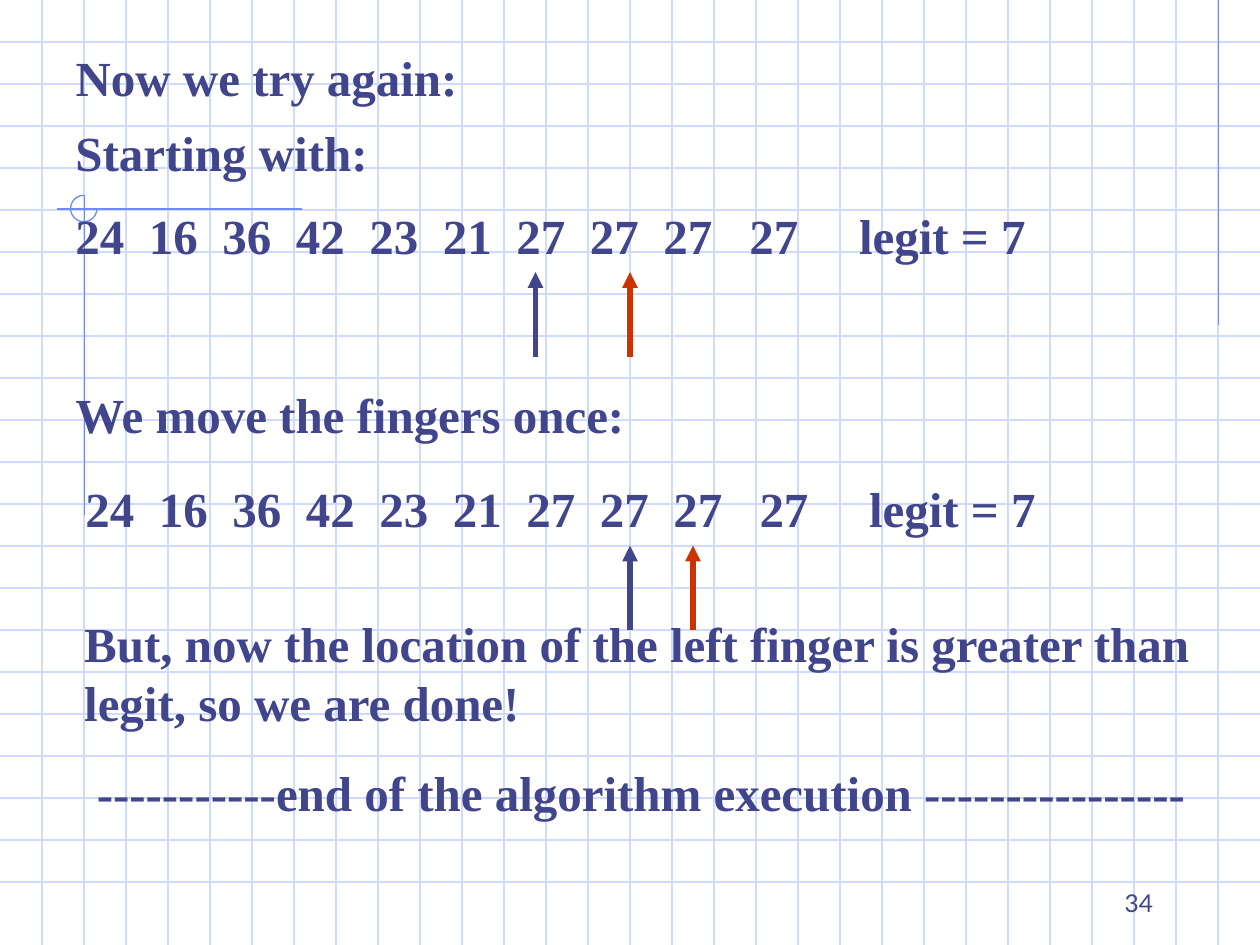
from dataclasses import dataclass

from lxml.etree import SubElement
from pptx import Presentation
from pptx.dml.color import RGBColor
from pptx.enum.shapes import MSO_CONNECTOR as Connector, MSO_SHAPE as Shape
from pptx.enum.text import MSO_ANCHOR as Anchor, PP_ALIGN as Align
from pptx.oxml.ns import qn
from pptx.util import Inches, Pt


@dataclass(frozen=True)
class Theme:
    """Colours, fonts and sizes of the slide."""
    ink: RGBColor = RGBColor.from_string("40458C")
    red: RGBColor = RGBColor.from_string("CC3300")
    grid: RGBColor = RGBColor.from_string("CFDBFD")
    accent: RGBColor = RGBColor.from_string("6F89F7")
    body_font: str = "Times New Roman"
    number_font: str = "Lato"
    body_size: Pt = Pt(28)
    number_size: Pt = Pt(14)
    thin: Pt = Pt(0.75)
    thick: Pt = Pt(3)


THEME = Theme()
WIDTH, HEIGHT = 10, 7.5
GRID_STEP = 1 / 3
NUMBERS = ["24", "16", "36", "42", "23", "21", "27", "27", "27", "27"]
NUMBER_STEP = 7 / 12
LAST_NUMBER_TAB, LEGIT_TAB = 5.35, 6.22


def add_line(shapes, start, end, color, width=THEME.thin):
    """Draw a straight line without a shadow."""
    points = (Inches(value) for value in (*start, *end))
    line = shapes.add_connector(Connector.STRAIGHT, *points)
    line.line.color.rgb = color
    line.line.width = width
    SubElement(line.element.spPr, qn("a:effectLst"))
    return line


def add_background(slide, width, height):
    """Draw the grid and the accent lines over the given area."""
    shapes = slide.shapes.add_group_shape().shapes
    for index in range(1, round(height / GRID_STEP)):
        y = index * GRID_STEP
        add_line(shapes, (0, y), (width, y), THEME.grid)
    for index in range(1, round(width / GRID_STEP)):
        x = index * GRID_STEP
        add_line(shapes, (x, 0), (x, height), THEME.grid)
    add_line(shapes, (9.67, 0), (9.67, 2.58), THEME.accent)
    add_line(shapes, (2.4, 1.66), (0.45, 1.66), THEME.accent)
    add_line(shapes, (0.67, 1.55), (0.67, 4.09), THEME.accent)
    arc = shapes.add_shape(Shape.ARC, Inches(0.56), Inches(1.55), Inches(0.21), Inches(0.21))
    arc.adjustments[0], arc.adjustments[1] = 0, 162
    arc.shadow.inherit = False
    arc.fill.background()
    arc.line.color.rgb = THEME.accent
    arc.line.width = THEME.thin


def write_text(shape, text, tabs=(), font=THEME.body_font, size=THEME.body_size,
               bold=True, align=Align.LEFT, anchor=Anchor.TOP):
    """Fill a shape with one formatted paragraph."""
    frame = shape.text_frame
    frame.word_wrap = True
    frame.vertical_anchor = anchor
    paragraph = frame.paragraphs[0]
    paragraph.text = text
    paragraph.alignment = align
    paragraph.space_before = Pt(0)
    if tabs:
        tab_list = SubElement(paragraph._p.get_or_add_pPr(), qn("a:tabLst"))
        for position in tabs:
            SubElement(tab_list, qn("a:tab"), pos=str(Inches(position)), algn="l")
    for run in paragraph.runs:
        run.font.name = font
        run.font.size = size
        run.font.bold = bold
        run.font.color.rgb = THEME.ink


def add_text(slide, box, text, **style):
    """Add a text box at the given place."""
    write_text(slide.shapes.add_textbox(*map(Inches, box)), text, **style)


def add_title(slide, box, text):
    """Place the title above the background."""
    title = slide.shapes.title
    title.left, title.top, title.width, title.height = map(Inches, box)
    slide.shapes.element.append(title.element)
    write_text(title, text)


def add_step(slide, box, left_finger, right_finger):
    """Add the row of numbers with the two finger arrows below it."""
    tabs = [index * NUMBER_STEP for index in range(1, len(NUMBERS) - 1)]
    add_text(slide, box, "\t".join([*NUMBERS, "legit = 7"]),
             tabs=[*tabs, LAST_NUMBER_TAB, LEGIT_TAB])
    tip = box[1] + 0.58
    for x, color in ((left_finger, THEME.ink), (right_finger, THEME.red)):
        arrow = add_line(slide.shapes, (x, tip + 0.67), (x, tip), color, THEME.thick)
        SubElement(arrow.line._get_or_add_ln(), qn("a:tailEnd"), type="triangle")


def build_slide(presentation):
    """Build the slide showing the last step of the algorithm."""
    slide = presentation.slides.add_slide(presentation.slide_layouts[5])
    add_background(slide, WIDTH, HEIGHT)
    add_title(slide, (0.5, 0.33, 8.25, 0.57), "Now we try again:")
    add_text(slide, (0.5, 0.92, 4.25, 0.57), "Starting with:")
    add_step(slide, (0.5, 1.58, 8.67, 0.57), 4.25, 5)
    add_text(slide, (0.5, 3, 8.42, 0.57), "We move the fingers once:")
    add_step(slide, (0.58, 3.75, 8.67, 0.57), 5, 5.5)
    add_text(slide, (0.57, 4.82, 9.18, 1.04),
             "But, now the location of the left finger is greater than legit, so we are done!")
    add_text(slide, (0.67, 6, 9, 0.57),
             "-----------end of the algorithm execution ----------------")
    add_text(slide, (7.17, 6.83, 2.08, 0.5), "34", font=THEME.number_font,
             size=THEME.number_size, bold=False, align=Align.RIGHT, anchor=Anchor.BOTTOM)


def main():
    """Create and save the presentation."""
    presentation = Presentation()
    presentation.slide_width, presentation.slide_height = Inches(WIDTH), Inches(HEIGHT)
    build_slide(presentation)
    presentation.save("out.pptx")


if __name__ == "__main__":
    main()
